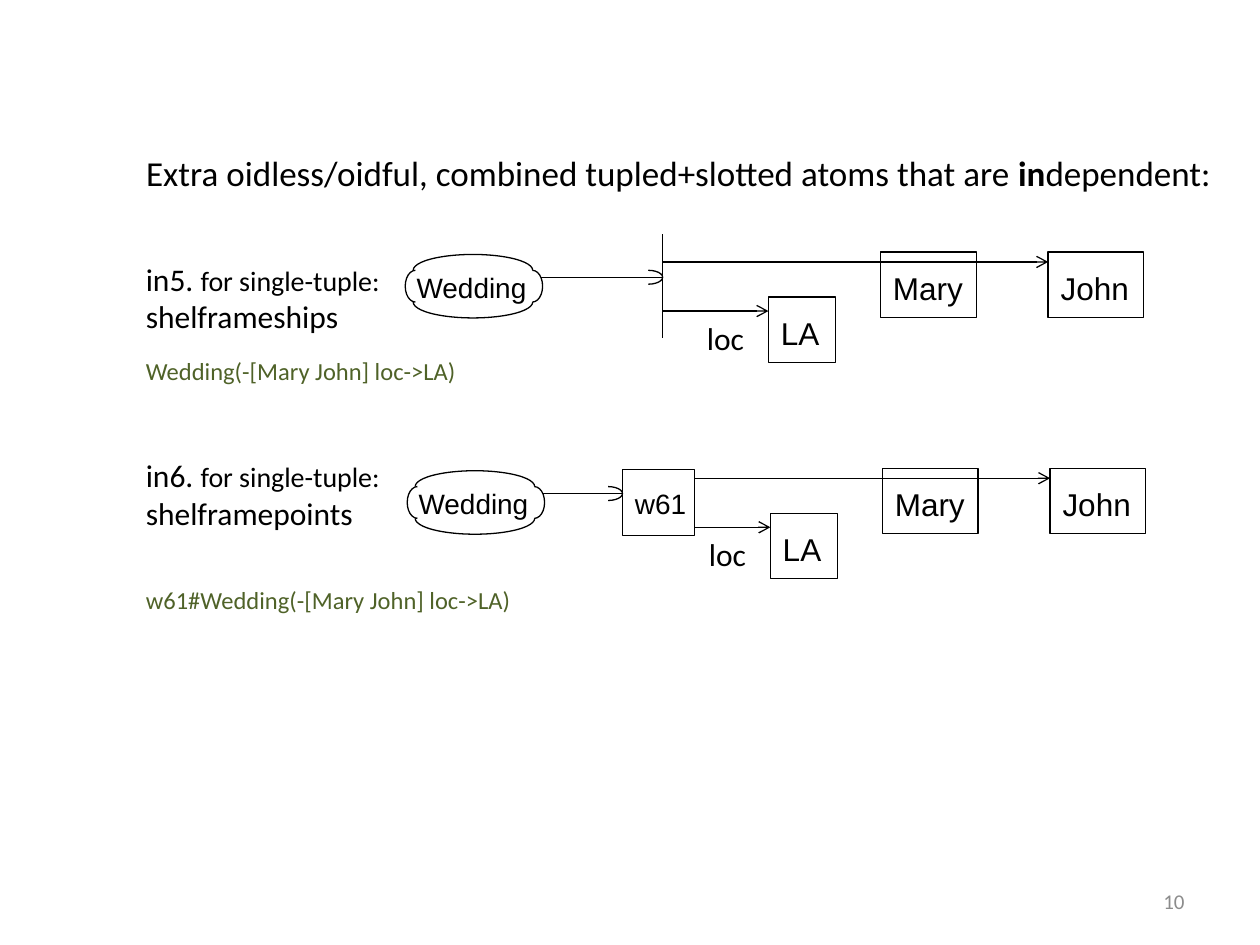
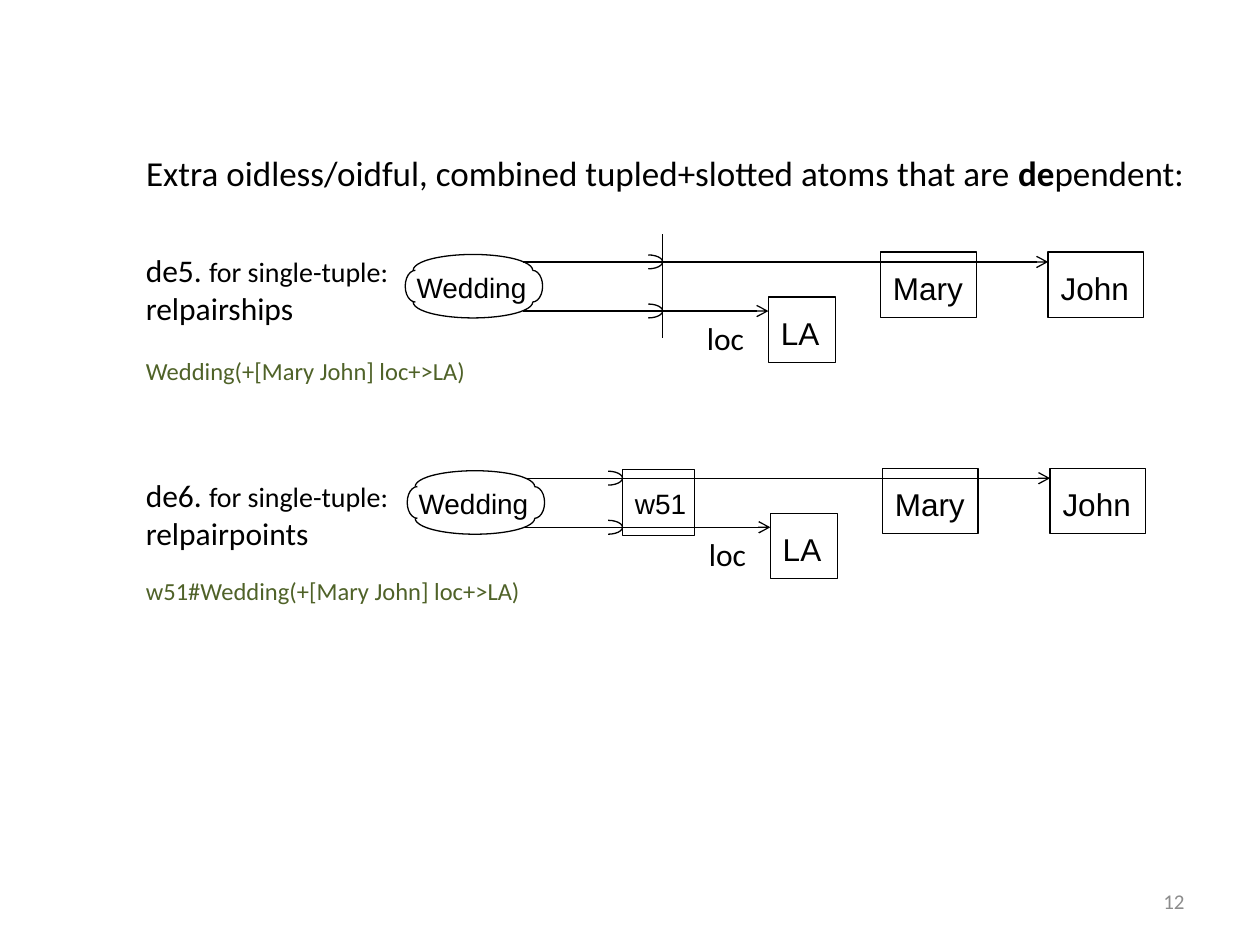
import dataclasses

import pptx
import pptx.util
import pptx.dml.color
import pptx.enum.shapes
import pptx.enum.text
import pptx.oxml
import pptx.oxml.ns

Cm = pptx.util.Cm
Pt = pptx.util.Pt
Kind = pptx.enum.shapes.MSO_SHAPE
Anchor = pptx.enum.text.MSO_ANCHOR
Align = pptx.enum.text.PP_ALIGN


@dataclasses.dataclass(frozen=True)
class Theme:
    """Hold the colours, fonts and type sizes."""
    ink: str = "000000"
    code: str = "4F6228"
    grey: str = "8C8C8C"
    sans: str = "Calibri"
    node: str = "Arial"
    head: int = 20
    main: int = 18
    note: int = 16
    small: int = 14
    foot: int = 12
    line: float = 0.75


THEME = Theme()
LEFT = 2.69
UPPER, MIDDLE, LOWER = 5.28, 5.59, 6.27
BAR = 13.36
POINT = 12.51
POINT_WIDTH = 1.45
ROW_SHIFT = (0.04, 4.36)


def put(para, text, size=THEME.main, font=THEME.sans, ink=THEME.ink, bold=False):
    """Add one formatted run to a paragraph."""
    run = para.add_run()
    run.text = text
    run.font.size = Pt(size)
    run.font.name = font
    run.font.bold = bold
    run.font.color.rgb = pptx.dml.color.RGBColor.from_string(ink)


def field(slide, x, y, w, h, wrap=False):
    """Add an empty text box and return its frame."""
    frame = slide.shapes.add_textbox(Cm(x), Cm(y), Cm(w), Cm(h)).text_frame
    frame.word_wrap = wrap
    return frame


def pen(line):
    """Give a line the common colour and width."""
    line.color.rgb = pptx.dml.color.RGBColor.from_string(THEME.ink)
    line.width = Pt(THEME.line)


def outline(slide, kind, x, y, w, h):
    """Add an unfilled shape."""
    shape = slide.shapes.add_shape(kind, Cm(x), Cm(y), Cm(w), Cm(h))
    shape.shadow.inherit = False
    shape.fill.background()
    pen(shape.line)
    return shape


def arc(slide, x, y, w, h, start):
    """Draw half an ellipse clockwise from the start angle in degrees."""
    shape = outline(slide, Kind.ARC, x, y, w, h)
    for index, angle in enumerate((start, (start + 180) % 360)):
        shape.adjustments[index] = angle * 0.6


def link(slide, x1, y1, x2, y2, arrow=False):
    """Draw a straight line, with an arrowhead at its end if asked."""
    line = slide.shapes.add_connector(
        pptx.enum.shapes.MSO_CONNECTOR.STRAIGHT, Cm(x1), Cm(y1), Cm(x2), Cm(y2))
    pen(line.line)
    if arrow:
        tail = pptx.oxml.parse_xml(
            f'<a:tailEnd {pptx.oxml.ns.nsdecls("a")} type="arrow"/>')
        line.line._get_or_add_ln().append(tail)
    line._element.spPr.append(
        pptx.oxml.parse_xml(f'<a:effectLst {pptx.oxml.ns.nsdecls("a")}/>'))


def hook(slide, x1, x2, y):
    """Draw a line that ends in a round hook."""
    link(slide, x1, y, x2, y)
    arc(slide, x2 - 0.58, y - 0.14, 0.58, 0.28, 270)


def box(slide, text, x, y, w, size=THEME.main):
    """Draw a node box with its name."""
    shape = outline(slide, Kind.RECTANGLE, x, y, w, 1.32)
    frame = shape.text_frame
    frame.word_wrap = True
    frame.vertical_anchor = Anchor.TOP
    frame.margin_left, frame.margin_top = Cm(0.25), Cm(0.34)
    frame.margin_right = frame.margin_bottom = 0
    para = frame.paragraphs[0]
    para.alignment = Align.LEFT
    put(para, text, size=size, font=THEME.node)


def cloud(slide, text, x, y):
    """Draw a relation name inside four half arcs."""
    frame = field(slide, x, y + 0.2, 2.74, 0.94)
    put(frame.paragraphs[0], text, size=THEME.note, font=THEME.node)
    arc(slide, x + 0.18, y, 2.41, 0.64, 180)
    arc(slide, x + 0.18, y + 0.64, 2.41, 0.64, 0)
    arc(slide, x + 2.38, y + 0.32, 0.41, 0.64, 270)
    arc(slide, x + 0.02, y + 0.32, 0.41, 0.64, 90)


def graph(slide, row, point, split):
    """Draw one row: relation, hooks, arrows and nodes."""
    dx, dy = (row * step for step in ROW_SHIFT)
    cloud(slide, "Wedding", 8.15 + dx, 5.13 + dy)
    for name, x, y, w in (("Mary", 17.75, 5.08, 1.93),
                          ("John", 21.13, 5.08, 1.93),
                          ("LA", 15.49, 5.99, 1.35)):
        box(slide, name, x + dx, y + dy, w)
    frame = field(slide, 14 + dx, 6.3 + dy, 1.27, 1.02)
    put(frame.paragraphs[0], "loc")

    if point:
        box(slide, point, POINT + dx, 5.11 + dy, POINT_WIDTH, size=THEME.note)
        goal = POINT + dx
        start = goal if split else goal + POINT_WIDTH
    else:
        link(slide, BAR, 4.72, BAR, 6.81)
        goal = start = BAR
    for y in (UPPER, LOWER) if split else (MIDDLE,):
        hook(slide, (10.54 if split else 10.9) + dx, goal, y + dy)
    for y, end in ((UPPER, 21.13), (LOWER, 15.49)):
        link(slide, start, y + dy, end + dx, y + dy, arrow=True)


def label(slide, tag, name, y):
    """Write the two-line label of a row."""
    frame = field(slide, LEFT, y, 5.4, 1.8)
    put(frame.paragraphs[0], tag + ". ")
    put(frame.paragraphs[0], "for single-tuple:", size=THEME.note)
    put(frame.add_paragraph(), name)


def title(slide, stem, rest):
    """Place the heading with its bold prefix."""
    shape = slide.shapes.title
    shape.left, shape.top = Cm(LEFT), Cm(2.92)
    shape.width, shape.height = Cm(22.35), Cm(1.12)
    frame = shape.text_frame
    frame.auto_size = pptx.enum.text.MSO_AUTO_SIZE.NONE
    frame.word_wrap = False
    frame.vertical_anchor = Anchor.TOP
    para = frame.paragraphs[0]
    para.alignment = Align.LEFT
    put(para, "Extra oidless/oidful, combined tupled+slotted atoms that are ",
        size=THEME.head)
    put(para, stem, size=THEME.head, bold=True)
    put(para, rest, size=THEME.head)


def footer(slide, number):
    """Write the page number."""
    frame = field(slide, 18.21, 17.65, 5.92, 1.02, wrap=True)
    frame.vertical_anchor = Anchor.MIDDLE
    para = frame.paragraphs[0]
    para.alignment = Align.RIGHT
    put(para, number, size=THEME.foot, ink=THEME.grey)


def page(deck, stem, rest, number, rows, split):
    """Build one slide from its rows."""
    slide = deck.slides.add_slide(deck.slide_layouts[5])
    title(slide, stem, rest)
    for row, (tag, name, top, point, code, base) in enumerate(rows):
        label(slide, tag, name, top)
        graph(slide, row, point, split)
        frame = field(slide, LEFT, base, 8.2, 0.86)
        put(frame.paragraphs[0], code, size=THEME.small, ink=THEME.code)
    footer(slide, number)


def main():
    """Build and save the deck."""
    deck = pptx.Presentation()
    deck.slide_width, deck.slide_height = Cm(25.4), Cm(19.05)
    page(deck, "in", "dependent:", "10", (
        ("in5", "shelframeships", 5.11, None,
         "Wedding(-[Mary John] loc->LA)", 7.06),
        ("in6", "shelframepoints", 9.07, "w61",
         "w61#Wedding(-[Mary John] loc->LA)", 11.66)), split=False)
    page(deck, "de", "pendent:", "12", (
        ("de5", "relpairships", 4.93, None,
         "Wedding(+[Mary John] loc+>LA)", 7.06),
        ("de6", "relpairpoints", 9.47, "w51",
         "w51#Wedding(+[Mary John] loc+>LA)", 11.48)), split=True)
    deck.save("out.pptx")


if __name__ == "__main__":
    main()
